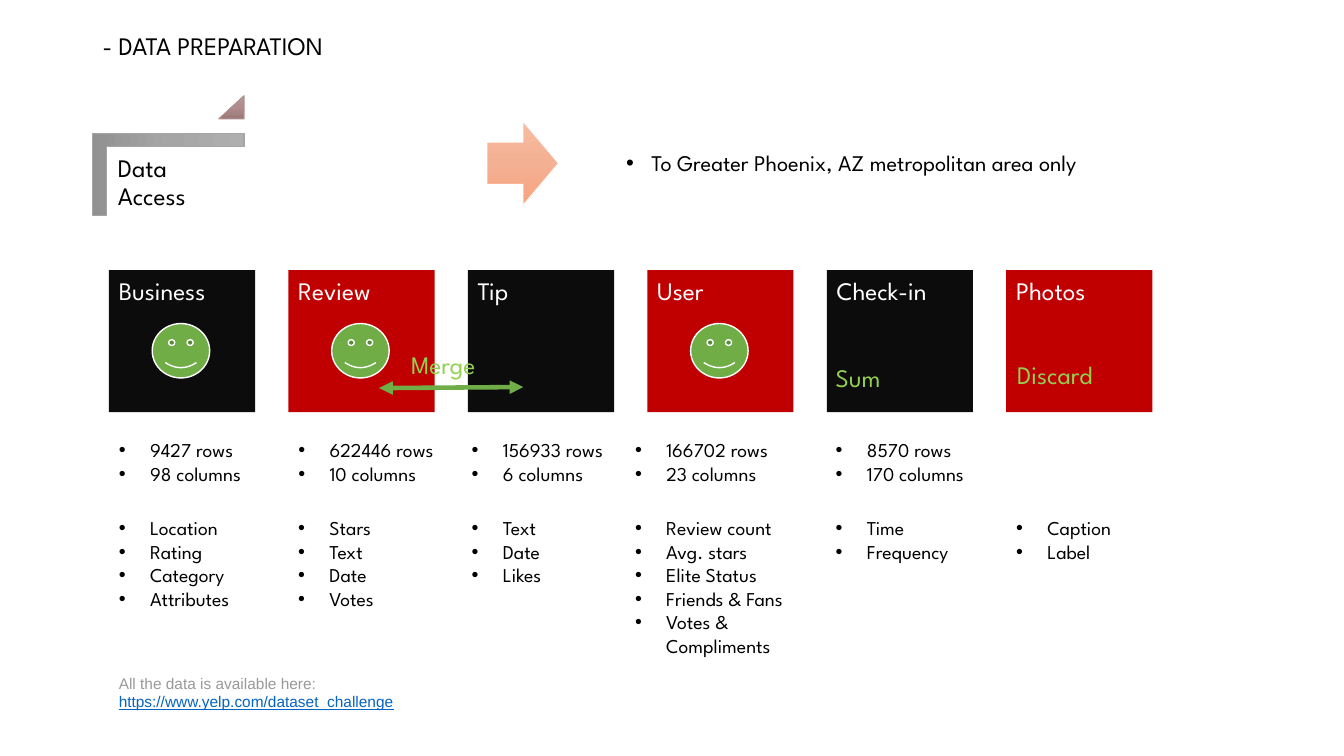
from copy import deepcopy

from lxml import etree
from pptx import Presentation
from pptx.dml.color import RGBColor
from pptx.enum.shapes import MSO_CONNECTOR, MSO_SHAPE
from pptx.enum.text import MSO_ANCHOR, PP_ALIGN
from pptx.oxml.ns import qn
from pptx.util import Inches, Pt

RECTANGLE, SMILEY = MSO_SHAPE.RECTANGLE, MSO_SHAPE.SMILEY_FACE
HALF_FRAME, TRIANGLE = MSO_SHAPE.HALF_FRAME, MSO_SHAPE.ISOSCELES_TRIANGLE
RIGHT_ARROW, STRAIGHT = MSO_SHAPE.RIGHT_ARROW, MSO_CONNECTOR.STRAIGHT
MIDDLE, CENTER = MSO_ANCHOR.MIDDLE, PP_ALIGN.CENTER

FONT = "League Spartan"
BLACK, WHITE, CARD_BLACK, CARD_RED = "000000", "FFFFFF", "0C0C0C", "C00000"
GREEN, LIME = "70AD47", "92D050"
color = RGBColor.from_string


def add_text(place, lines, size, hex_color=BLACK, font=FONT, indent=0, spacing=None):
    """Add a text box with one paragraph per line; an indent makes them bullets."""
    box = slide.shapes.add_textbox(*map(Inches, place))
    frame = box.text_frame
    frame.word_wrap = True
    for number, line in enumerate(lines):
        para = frame.add_paragraph() if number else frame.paragraphs[0]
        para.text = line
        if spacing:
            para.line_spacing = spacing
        if indent:
            properties = para._p.get_or_add_pPr()
            properties.set("marL", str(Inches(indent)))
            properties.set("indent", str(-Inches(indent)))
            bullet_font = etree.SubElement(properties, qn("a:buFont"))
            bullet_font.set("typeface", "Arial")
            etree.SubElement(properties, qn("a:buChar")).set("char", "•")
        for span in para.runs:
            span.font.name = font
            span.font.size = Pt(size)
            span.font.color.rgb = color(hex_color)
    return box


def add_filled(kind, place, fills, line=None, width=0.75, adjustments=()):
    """Add a shape with one solid fill or a three-stop top-down gradient."""
    shape = slide.shapes.add_shape(kind, *map(Inches, place))
    shape.shadow.inherit = False
    for number, value in enumerate(adjustments):
        shape.adjustments[number] = value
    if len(fills) == 1:
        shape.fill.solid()
        shape.fill.fore_color.rgb = color(fills[0])
    else:
        shape.fill.gradient()
        shape.fill.gradient_angle = 270
        first_stop = shape._element.spPr.find(".//" + qn("a:gs"))
        first_stop.addnext(deepcopy(first_stop))
        for stop, position, fill in zip(shape.fill.gradient_stops, (0, 0.5, 1), fills):
            stop.position = position
            stop.color.rgb = color(fill)
    if line:
        shape.line.color.rgb = color(line)
        shape.line.width = Pt(width)
    else:
        shape.line.fill.background()
    return shape


deck = Presentation()
deck.slide_width, deck.slide_height = Inches(13.33), Inches(7.5)
slide = deck.slides.add_slide(deck.slide_layouts[6])

# Heading, data access label and scope
add_text((0.92, 0.25, 4.55, 0.4), ["- DATA PREPARATION"], 18)
corner = add_filled(HALF_FRAME, (1.26, 0.98, 0.82, 1.5), ("AFAFAF", "A5A5A5", "919191"),
                    "A5A5A5", adjustments=(0.161, 0.161))
# The corner preset has square ends and no MSO_SHAPE member
corner._element.spPr.find(qn("a:prstGeom")).set("prst", "corner")
corner.rotation = 90
access = add_text((1.07, 1.46, 1.35, 1.07), ["Data Access"], 18, spacing=0.9)
access.text_frame.margin_top = Inches(0.09)
add_filled(TRIANGLE, (2.17, 0.95, 0.25, 0.23), ("B69999", "AF8B8B", "9C7878"),
           "AE8D8D", adjustments=(1,))
add_filled(RIGHT_ARROW, (4.83, 1.2, 0.71, 0.84), ("F7BCA2", "F4B093", "F7A47F"), WHITE)
scope = add_text((3.57, 1.46, 9.75, 0.41),
                 ["To Greater Phoenix, AZ metropolitan area only"], 16,
                 indent=0.25, spacing=0.9)
scope.text_frame.paragraphs[0].alignment = CENTER

# One card per table: name, left of its lists, size, fields
tables = [
    ("Business", 1.08, ["9427 rows", "98 columns"],
     ["Location", "Rating", "Category", "Attributes"]),
    ("Review", 2.86, ["622446 rows", "10 columns"], ["Stars", "Text", "Date", "Votes"]),
    ("Tip", 4.58, ["156933 rows", "6 columns"], ["Text", "Date", "Likes"]),
    ("User", 6.2, ["166702 rows", "23 columns"],
     ["Review count", "Avg. stars", "Elite Status", "Friends & Fans",
      "Votes & Compliments"]),
    ("Check-in", 8.19, ["8570 rows", "170 columns"], ["Time", "Frequency"]),
    ("Photos", 9.98, [], ["Caption", "Label"]),
]
kept = ("Business", "Review", "User")
for number, (name, list_left, counts, fields) in enumerate(tables):
    left = 1.08 + 1.78 * number
    add_filled(RECTANGLE, (left, 2.68, 1.45, 1.41), [(CARD_BLACK, CARD_RED)[number % 2]])
    add_text((left, 2.68, 1.34, 0.4), [name], 18, WHITE)
    if name in kept:
        add_filled(SMILEY, (left + 0.43, 3.21, 0.57, 0.54), [GREEN], WHITE, 1, (0.047,))
    if counts:
        add_text((list_left, 4.3, 1.71, 0.57), counts, 14, indent=0.31)
    list_width = 2 if name == "User" else 1.54
    add_text((list_left, 5.07, list_width, 0.1 + 0.24 * len(fields)), fields, 14,
             indent=0.31)

# What happens to the other tables
merge_arrow = slide.shapes.add_connector(
    STRAIGHT, Inches(3.76), Inches(3.85), Inches(5.19), Inches(3.84))
merge_arrow.line.color.rgb = color(GREEN)
merge_arrow.line.width = Pt(3.25)
outline = merge_arrow._element.spPr.find(qn("a:ln"))
for end in ("a:headEnd", "a:tailEnd"):
    etree.SubElement(outline, qn(end)).set("type", "triangle")
etree.SubElement(merge_arrow._element.spPr, qn("a:effectLst"))
for action, left, top in (("Merge", 3.98, 3.42), ("Sum", 8.19, 3.55),
                          ("Discard", 9.99, 3.52)):
    add_text((left, top, 1.43, 0.4), [action], 18, LIME)

# Data source
source = add_text((1.08, 6.53, 5.13, 0.68),
                  ["All the data is available here:",
                   "https://www.yelp.com/dataset_challenge"], 11, "999999", "Arial")
source.text_frame.vertical_anchor = MIDDLE
address = source.text_frame.paragraphs[1].runs[0]
address.font.color.rgb = color("0563C1")
address.font.underline = True

deck.save("out.pptx")
